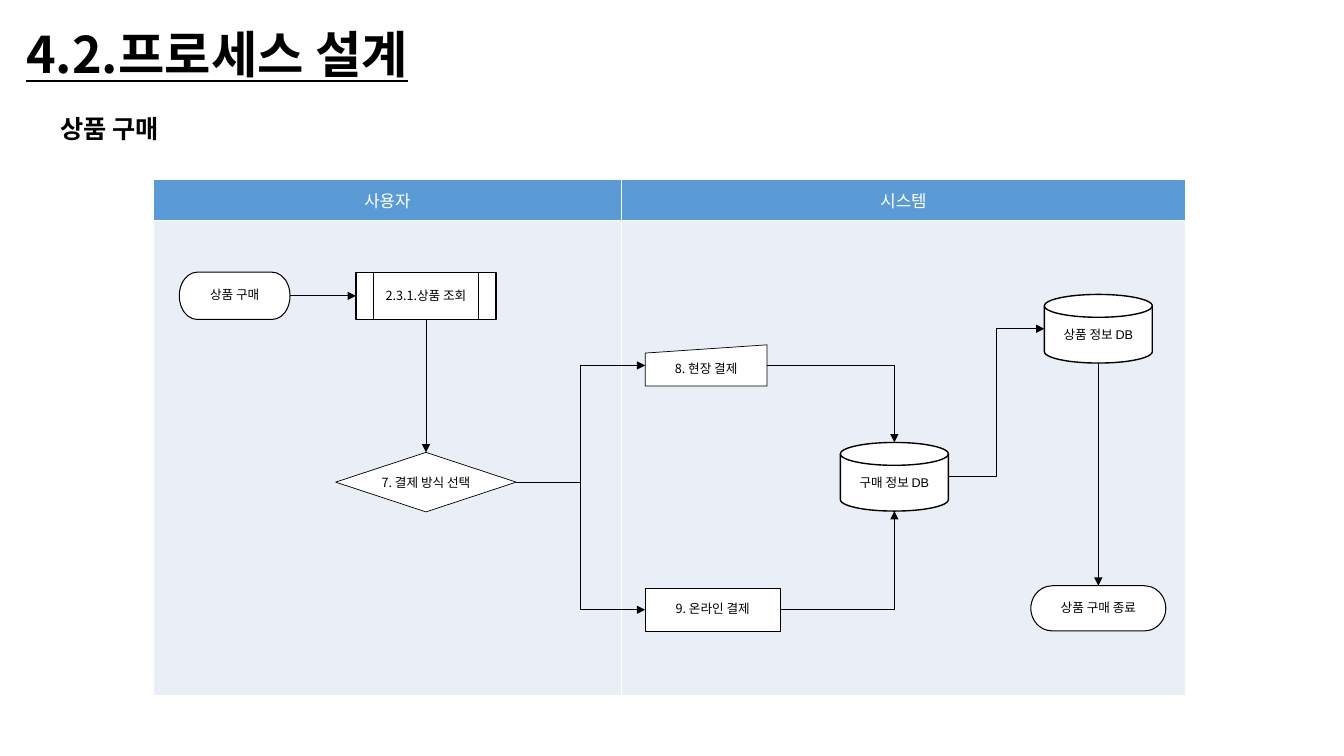
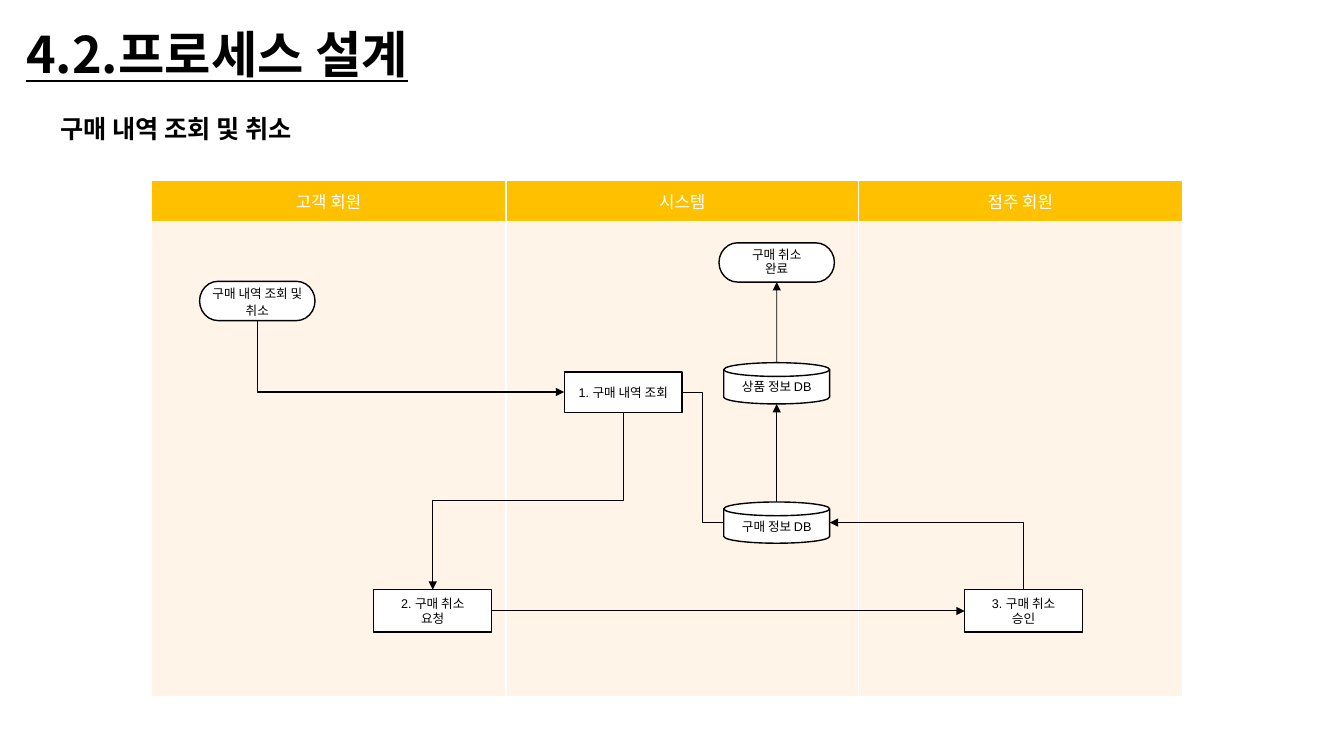
from collections import namedtuple

from lxml.etree import SubElement
from pptx import Presentation
from pptx.dml.color import RGBColor
from pptx.enum.shapes import MSO_CONNECTOR, MSO_SHAPE
from pptx.enum.text import MSO_ANCHOR, PP_ALIGN
from pptx.oxml.ns import qn
from pptx.util import Cm, Pt

Theme = namedtuple("Theme", "black white sans latin title sub head node")
theme = Theme(
    black=RGBColor.from_string("000000"),
    white=RGBColor.from_string("FFFFFF"),
    sans="Noto Sans CJK KR",
    latin="Arial",
    title=36,
    sub=18,
    head=12,
    node=9,
)

TOP, LEFT, BOTTOM, RIGHT = range(4)
PILL = MSO_SHAPE.FLOWCHART_TERMINATOR
DISK = MSO_SHAPE.FLOWCHART_MAGNETIC_DISK
BOX = MSO_SHAPE.RECTANGLE
CALL = MSO_SHAPE.FLOWCHART_PREDEFINED_PROCESS
INPUT = MSO_SHAPE.FLOWCHART_MANUAL_INPUT
CHOICE = MSO_SHAPE.DIAMOND

# Nodes: name, kind, text, (left, top, width, height) in cm, line width, font, line spacing
# Links: from, side, to, side, route, line width, arrow
pages = [
    dict(
        sub="상품 구매",
        left=3.86, top=4.52, head="5B9BD5", body="EAEFF7",
        lanes=[("사용자", 11.81), ("시스템", 14.2)],
        nodes=[
            ("start", PILL, "상품 구매", (4.52, 6.86, 2.79, 1.19), 0.75, theme.latin, 0.9),
            ("browse", CALL, "2.3.1.상품 조회", (8.97, 6.86, 3.53, 1.19), 1, theme.sans, 1),
            ("choose", CHOICE, "7. 결제 방식 선택", (8.46, 11.4, 4.55, 1.5), 0.5, theme.sans, 1),
            ("onsite", INPUT, "8. 현장 결제", (16.26, 8.69, 3.07, 1.04), 0.5, theme.sans, 0.9),
            ("online", BOX, "9. 온라인 결제", (16.26, 14.83, 3.4, 1.07), 0.5, theme.sans, 0.9),
            ("orders", DISK, "구매 정보 DB", (21.18, 11.15, 2.72, 1.73), 1, theme.latin, 1),
            ("goods", DISK, "상품 정보 DB", (26.32, 7.42, 2.72, 1.73), 1, theme.latin, 1),
            ("end", PILL, "상품 구매 종료", (25.98, 14.76, 3.4, 1.14), 0.75, theme.latin, 0.9),
        ],
        links=[
            ("start", RIGHT, "browse", LEFT, "line", 0.5, "tailEnd"),
            ("browse", BOTTOM, "choose", TOP, "line", 0.5, "tailEnd"),
            ("choose", RIGHT, "onsite", LEFT, "step", 0.5, "tailEnd"),
            ("choose", RIGHT, "online", LEFT, "step", 0.5, "tailEnd"),
            ("onsite", RIGHT, "orders", TOP, "corner", 0.5, "tailEnd"),
            ("online", RIGHT, "orders", BOTTOM, "corner", 0.5, "tailEnd"),
            ("orders", RIGHT, "goods", LEFT, "step", 0.5, "tailEnd"),
            ("goods", BOTTOM, "end", TOP, "line", 0.5, "tailEnd"),
        ],
    ),
    dict(
        sub="구매 내역 조회 및 취소",
        left=3.81, top=4.55, head="FFC000", body="FFF4E7",
        lanes=[("고객 회원", 8.94), ("시스템", 8.89), ("점주 회원", 8.15)],
        nodes=[
            ("start", PILL, "구매 내역 조회 및 취소", (5.03, 7.09, 2.91, 0.99), 1, theme.sans, 1.1),
            ("view", BOX, "1. 구매 내역 조회", (14.22, 9.37, 2.97, 1.02), 1, theme.latin, 1),
            ("ask", BOX, "2. 구매 취소\n요청", (9.42, 14.86, 2.97, 1.07), 1, theme.latin, 1),
            ("grant", BOX, "3. 구매 취소\n승인", (24.31, 14.86, 2.97, 1.07), 1, theme.latin, 1),
            ("orders", DISK, "구매 정보 DB", (18.24, 12.65, 2.67, 1.04), 1, theme.latin, 1),
            ("goods", DISK, "상품 정보 DB", (18.24, 9.14, 2.67, 1.04), 1, theme.latin, 1),
            ("done", PILL, "구매 취소\n완료", (18.12, 6.12, 2.91, 0.99), 1, theme.latin, 0.9),
        ],
        links=[
            ("view", LEFT, "start", BOTTOM, "corner", 0.75, "headEnd"),
            ("view", BOTTOM, "ask", TOP, "step", 0.75, "tailEnd"),
            ("view", RIGHT, "orders", LEFT, "step", 0.75, None),
            ("ask", RIGHT, "grant", LEFT, "line", 0.75, "tailEnd"),
            ("orders", RIGHT, "grant", TOP, "corner", 0.75, "headEnd"),
            ("orders", TOP, "goods", BOTTOM, "line", 0.5, "tailEnd"),
            ("goods", TOP, "done", BOTTOM, "line", 0.5, "tailEnd"),
        ],
    ),
]


def write(frame, text, size, color=theme.black, face=theme.sans, bold=False,
          under=False, align=PP_ALIGN.CENTER, space=None):
    frame.text = text
    for para in frame.paragraphs:
        para.alignment = align
        para.line_spacing = space
        for run in para.runs:
            font = run.font
            font.size, font.name = Pt(size), face
            font.bold, font.underline = bold, under
            font.color.rgb = color
            SubElement(font._element, qn("a:ea"), typeface=theme.sans)


def link(slide, first, exit, last, entry, route, width, arrow):
    """Glue a connector to two nodes; a corner leaves sideways first."""
    kind = MSO_CONNECTOR.STRAIGHT if route == "line" else MSO_CONNECTOR.ELBOW
    wire = slide.shapes.add_connector(kind, 0, 0, 0, 0)
    wire.begin_connect(first, exit)
    wire.end_connect(last, entry)
    root = wire._element
    # A disk has one extra site ahead of the usual four
    for tag, node in (("a:stCxn", first), ("a:endCxn", last)):
        if node.auto_shape_type == DISK:
            site = root.find(".//" + qn(tag))
            site.set("idx", str(int(site.get("idx")) + 1))

    if route == "corner":
        root.spPr.find(qn("a:prstGeom")).set("prst", "bentConnector2")
    elif route == "step" and exit == BOTTOM:
        # Going down and to the left is a quarter turn of the plain step
        wide, high = wire.width, wire.height
        wire.left += (wide - high) // 2
        wire.top += (high - wide) // 2
        wire.width, wire.height = high, wide
        frame = root.spPr.find(qn("a:xfrm"))
        frame.set("rot", "5400000")
        frame.attrib.pop("flipH", None)

    wire.line.width = Pt(width)
    wire.line.color.rgb = theme.black
    if arrow:
        SubElement(root.spPr.find(qn("a:ln")), qn("a:" + arrow), type="triangle")
    SubElement(root.spPr, qn("a:effectLst"))


deck = Presentation()
deck.slide_width, deck.slide_height = Cm(33.87), Cm(19.05)

for page in pages:
    slide = deck.slides.add_slide(deck.slide_layouts[6])
    shapes = slide.shapes

    # Swimlanes
    lanes = page["lanes"]
    total = sum(width for _, width in lanes)
    table = shapes.add_table(2, len(lanes), Cm(page["left"]), Cm(page["top"]),
                             Cm(total), Cm(13)).table
    table.rows[0].height, table.rows[1].height = Cm(1.04), Cm(11.96)
    for col, (name, width) in enumerate(lanes):
        table.columns[col].width = Cm(width)
        for row, fill in enumerate((page["head"], page["body"])):
            cell = table.cell(row, col)
            cell.fill.solid()
            cell.fill.fore_color.rgb = RGBColor.from_string(fill)
        head = table.cell(0, col)
        head.vertical_anchor = MSO_ANCHOR.MIDDLE
        write(head.text_frame, name, theme.head, theme.white)

    # Flow
    nodes = {}
    for name, kind, text, place, width, face, space in page["nodes"]:
        node = nodes[name] = shapes.add_shape(kind, *map(Cm, place))
        node.shadow.inherit = False
        node.fill.solid()
        node.fill.fore_color.rgb = theme.white
        node.line.color.rgb = theme.black
        node.line.width = Pt(width)
        frame = node.text_frame
        frame.word_wrap = kind not in (DISK, CHOICE)
        frame.vertical_anchor = MSO_ANCHOR.MIDDLE
        frame.margin_left = frame.margin_right = Cm(0.05)
        frame.margin_top = frame.margin_bottom = 0
        write(frame, text, theme.node, face=face, space=space)
    for first, exit, last, entry, *style in page["links"]:
        link(slide, nodes[first], exit, nodes[last], entry, *style)

    # Headings
    for text, size, under, place in (
        ("4.2.프로세스 설계", theme.title, True, (0.41, 0.46, 14, 1.8)),
        (page["sub"], theme.sub, False, (1.27, 2.72, 17.88, 1.02)),
    ):
        frame = shapes.add_textbox(*map(Cm, place)).text_frame
        frame.word_wrap = True
        write(frame, text, size, bold=True, under=under, align=PP_ALIGN.LEFT)

deck.save("out.pptx")
